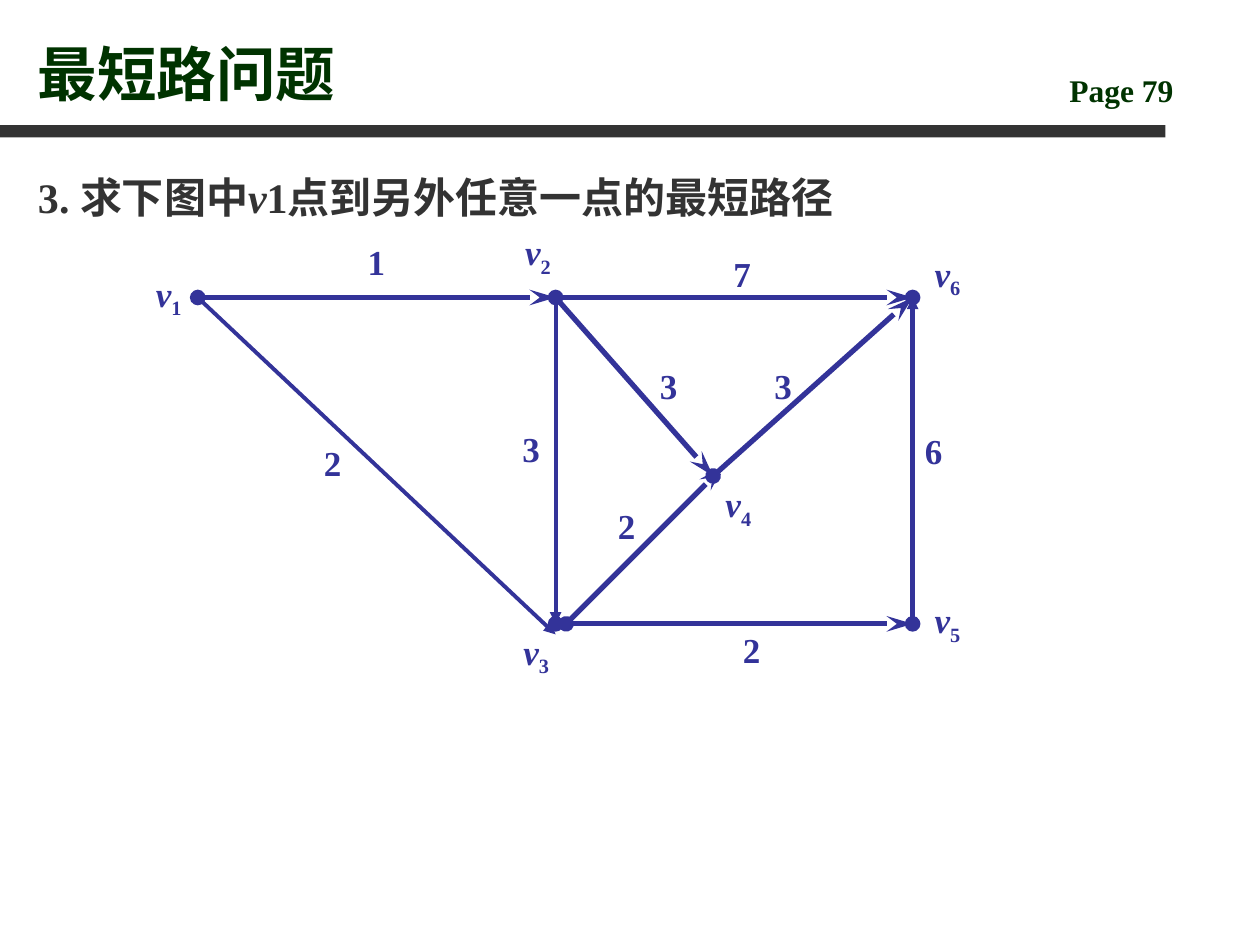
from dataclasses import dataclass

from lxml import etree
from pptx import Presentation
from pptx.dml.color import RGBColor
from pptx.enum.shapes import MSO_CONNECTOR, MSO_SHAPE
from pptx.enum.text import MSO_ANCHOR, MSO_AUTO_SIZE, PP_ALIGN
from pptx.oxml.ns import qn
from pptx.util import Pt

STRAIGHT = MSO_CONNECTOR.STRAIGHT
RECTANGLE = MSO_SHAPE.RECTANGLE
TOP, BOTTOM = MSO_ANCHOR.TOP, MSO_ANCHOR.BOTTOM
LEFT, JUSTIFY = PP_ALIGN.LEFT, PP_ALIGN.JUSTIFY
NO_FIT = MSO_AUTO_SIZE.NONE


@dataclass(frozen=True)
class Theme:
    font: str = "Times New Roman"
    green: str = "003300"
    gray: str = "333333"
    blue: str = "333399"
    title_size: int = 34
    body_size: int = 24
    page_size: int = 18
    label_size: int = 20
    thick: float = 3
    thin: float = 2.25


class GraphSlide:
    """Holds the theme and the slide being built; lengths are in points."""

    def __init__(self, prs, theme):
        self.theme = theme
        self.s = prs.slides.add_slide(prs.slide_layouts[1])

    def place(self, sp, box):
        for name, value in zip(("left", "top", "width", "height"), box):
            setattr(sp, name, Pt(value))

    def fill_text(self, sp, runs, size, color, align=LEFT, anchor=TOP):
        """Fill a shape with one paragraph of (text, italic, baseline) runs."""
        tf = sp.text_frame
        frame = {"word_wrap": True, "auto_size": NO_FIT, "vertical_anchor": anchor}
        for name, value in frame.items():
            setattr(tf, name, value)
        p = tf.paragraphs[0]
        p.alignment, p.space_before = align, Pt(0)
        for text, italic, baseline in runs:
            r = p.add_run()
            r.text = text
            style = {"name": self.theme.font, "size": Pt(size), "bold": True, "italic": italic}
            for name, value in style.items():
                setattr(r.font, name, value)
            r.font.color.rgb = RGBColor.from_string(color)
            if baseline:
                r.font._element.set("baseline", str(baseline * 1000))

    def title(self, text, box):
        sp = self.s.shapes.title
        self.place(sp, box)
        self.fill_text(sp, [(text, False, 0)], self.theme.title_size, self.theme.green, anchor=BOTTOM)

    def body(self, runs, box):
        sp = self.s.placeholders[1]
        self.place(sp, box)
        pPr = sp.text_frame.paragraphs[0]._p.get_or_add_pPr()
        pPr.set("marL", "0")
        pPr.set("indent", "0")
        etree.SubElement(pPr, qn("a:buNone"))
        self.fill_text(sp, runs, self.theme.body_size, self.theme.gray)

    def text(self, runs, box, size, color, align=LEFT):
        sp = self.s.shapes.add_textbox(*map(Pt, box))
        self.fill_text(sp, runs, size, color, align)

    def bar(self, box, color):
        sp = self.s.shapes.add_shape(RECTANGLE, *map(Pt, box))
        sp.shadow.inherit = False
        sp.fill.solid()
        sp.fill.fore_color.rgb = RGBColor.from_string(color)
        sp.line.fill.background()

    def edge(self, start, end, width, head, tail):
        sp = self.s.shapes.add_connector(STRAIGHT, *map(Pt, start + end))
        sp.line.width = Pt(width)
        sp.line.color.rgb = RGBColor.from_string(self.theme.blue)
        ln = sp.line._get_or_add_ln()
        for tag, kind in (("a:headEnd", head), ("a:tailEnd", tail)):
            if kind:
                length = "lg" if kind == "stealth" else "med"
                etree.SubElement(ln, qn(tag), type=kind, w="med", len=length)
        etree.SubElement(sp._element.spPr, qn("a:effectLst"))

    def label(self, runs, left, top):
        self.text(runs, (left, top, 61, 60), self.theme.label_size, self.theme.blue, JUSTIFY)

    def vertex(self, number, left, top):
        self.label([("v", True, 0), (number, False, -25)], left, top)

    def weight(self, number, left, top):
        self.label([(number, False, 0)], left, top)


def main():
    prs = Presentation()
    prs.slide_width, prs.slide_height = Pt(720), Pt(540)
    theme = Theme()
    graph = GraphSlide(prs, theme)

    graph.bar((0, 71.5, 666, 7), theme.gray)
    graph.text([("Page 79", False, 0)], (604, 37, 102, 29), theme.page_size, theme.green)
    graph.title("最短路问题", (14.5, 9.5, 578, 56))
    question = [("3. 求下图中", False, 0), ("v", True, 0), ("1点到另外任意一点的最短路径", False, 0)]
    graph.body(question, (14.5, 94.5, 641, 39.5))

    left, middle, right = 113, 317.5, 521.5
    top, bottom = 170, 356.5
    v1, v2, v6 = (left, top), (middle, top), (right, top)
    v3, v5 = (middle, bottom), (right, bottom)
    v4 = (407.5, 272)
    v3_side, v4_above = (323.5, bottom), (413.5, 266.5)
    v3_below = (middle, 362.5)

    thick, thin = theme.thick, theme.thin
    edges = [
        (v1, v2, thick, "oval", "stealth"),
        (v2, v6, thick, "oval", "stealth"),
        (v6, v5, thick, "oval", "oval"),
        (v6, v5, thin, "triangle", None),
        (v3, v5, thick, "oval", "stealth"),
        (v2, v4, thick, None, "stealth"),
        (v3_side, v4_above, thick, "oval", "stealth"),
        (v4, v6, thick, "oval", "stealth"),
        (v2, v3, thin, None, "triangle"),
        (v1, v3_below, thin, None, "triangle"),
    ]
    for edge in edges:
        graph.edge(*edge)

    vertices = [("1", 82, 152), ("2", 293, 128), ("3", 292, 356.5),
                ("4", 407.5, 272), ("6", 527, 140.5), ("5", 527, 338.5)]
    for vertex in vertices:
        graph.vertex(*vertex)

    weights = [("3", 291.5, 240.5), ("2", 346, 284.5), ("2", 178, 248.5),
               ("7", 412, 140.5), ("6", 521.5, 242), ("2", 417.5, 355.5),
               ("1", 203, 134), ("3", 370, 204.5), ("3", 435.5, 204.5)]
    for weight in weights:
        graph.weight(*weight)

    prs.save("out.pptx")


if __name__ == "__main__":
    main()
